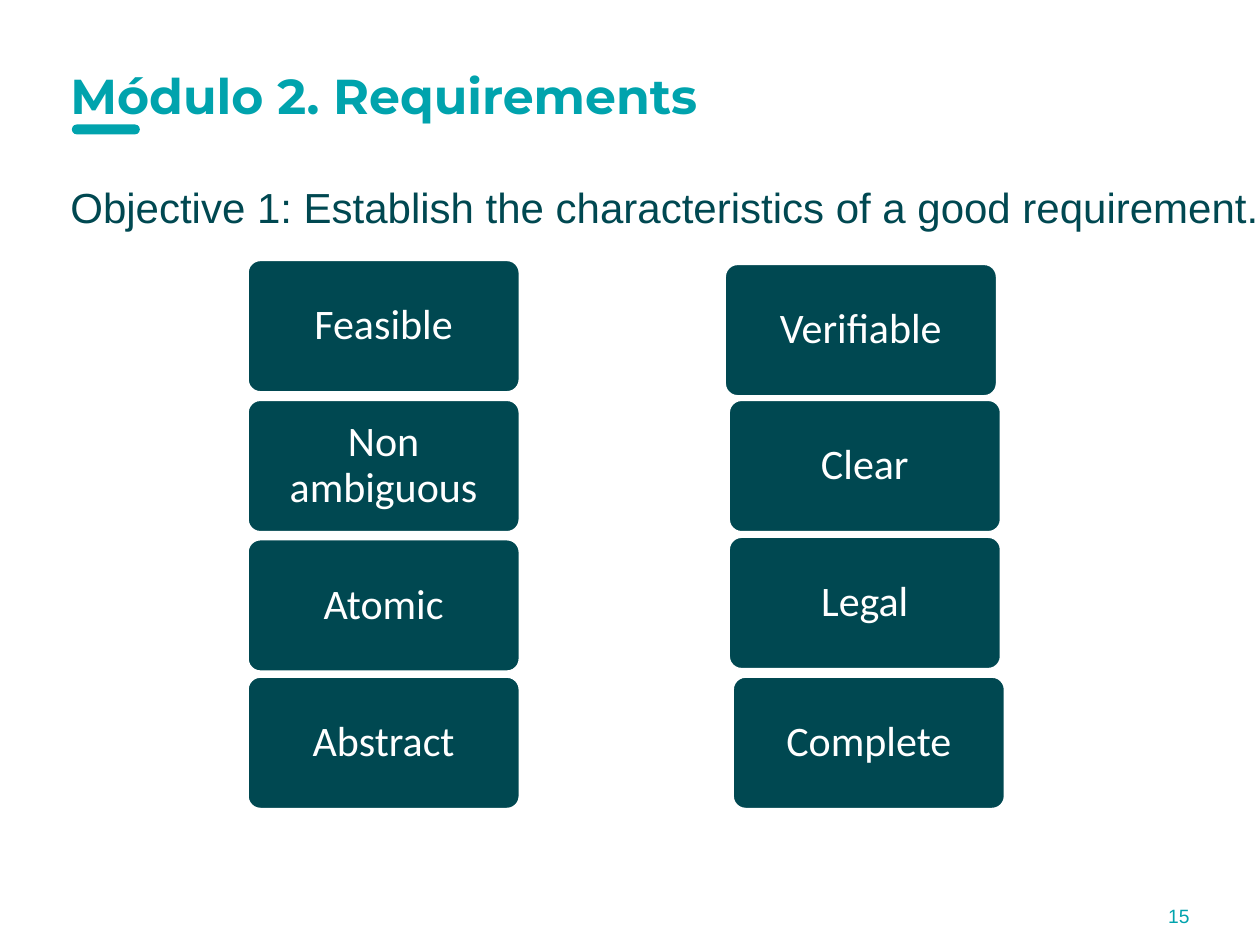
from pptx import Presentation
from pptx.dml.color import RGBColor
from pptx.enum.shapes import MSO_SHAPE
from pptx.enum.text import MSO_ANCHOR, PP_ALIGN
from pptx.util import Cm, Pt

HUES = {"teal": "00A3AD", "deep": "004851", "white": "FFFFFF"}


class Deck:
    """Holds the style and the current slide."""

    def __init__(self):
        self.prs = Presentation()
        self.prs.slide_width, self.prs.slide_height = Cm(25.4), Cm(19.05)
        self.slide = self.prs.slides.add_slide(self.prs.slide_layouts[6])

    def hue(self, name):
        return RGBColor.from_string(HUES[name])

    def label(self, shape, words, size, face, hue, bold=False,
              align=PP_ALIGN.LEFT, anchor=MSO_ANCHOR.MIDDLE):
        frame = shape.text_frame
        frame.text = words
        frame.word_wrap = True
        frame.vertical_anchor = anchor
        para = frame.paragraphs[0]
        para.alignment = align
        font = para.runs[0].font
        font.size, font.name, font.bold = Pt(size), face, bold
        font.color.rgb = self.hue(hue)
        return para

    def text(self, box, words, size, face, hue, **style):
        shape = self.slide.shapes.add_textbox(*map(Cm, box))
        self.label(shape, words, size, face, hue, **style)

    def block(self, box, fill, round_by):
        shape = self.slide.shapes.add_shape(
            MSO_SHAPE.ROUNDED_RECTANGLE, *map(Cm, box))
        shape.adjustments[0] = round_by
        shape.shadow.inherit = False
        shape.fill.solid()
        shape.fill.fore_color.rgb = self.hue(fill)
        shape.line.fill.background()
        return shape

    def card(self, left, top, words):
        shape = self.block((left, top, 5.51, 2.69), "deep", 0.1)
        shape.line.color.rgb = self.hue("white")
        shape.line.width = Pt(2)
        frame = shape.text_frame
        frame.margin_left = frame.margin_right = Cm(0.05)
        frame.margin_top = frame.margin_bottom = Cm(0.03)
        para = self.label(shape, words, 24, "Calibri", "white",
                          align=PP_ALIGN.CENTER)
        para.line_spacing = 0.9


def main():
    deck = Deck()

    # Heading with its accent bar
    deck.block((1.45, 2.51, 1.37, 0.2), "teal", 0.5)
    deck.text((1.17, 1.32, 21.29, 1.19), "Módulo 2. Requirements",
              28, "Montserrat", "teal", bold=True)

    # Objective
    deck.text((1.17, 3.53, 24.55, 13.36),
              "Objective 1: Establish the characteristics of a good requirement.",
              24, "Arial", "deep", anchor=MSO_ANCHOR.TOP)

    # Requirement traits: left, top, label
    cards = [
        (4.98, 5.23, "Feasible"), (14.6, 5.31, "Verifiable"),
        (4.98, 8.05, "Non ambiguous"), (14.68, 8.05, "Clear"),
        (4.98, 10.86, "Atomic"), (14.68, 10.81, "Legal"),
        (4.98, 13.63, "Abstract"), (14.76, 13.63, "Complete"),
    ]
    for left, top, words in cards:
        deck.card(left, top, words)

    # Page number
    deck.text((21.13, 17.96, 3.1, 1.02), "15", 11, "Arial", "teal",
              align=PP_ALIGN.RIGHT)

    deck.prs.save("out.pptx")


if __name__ == "__main__":
    main()
